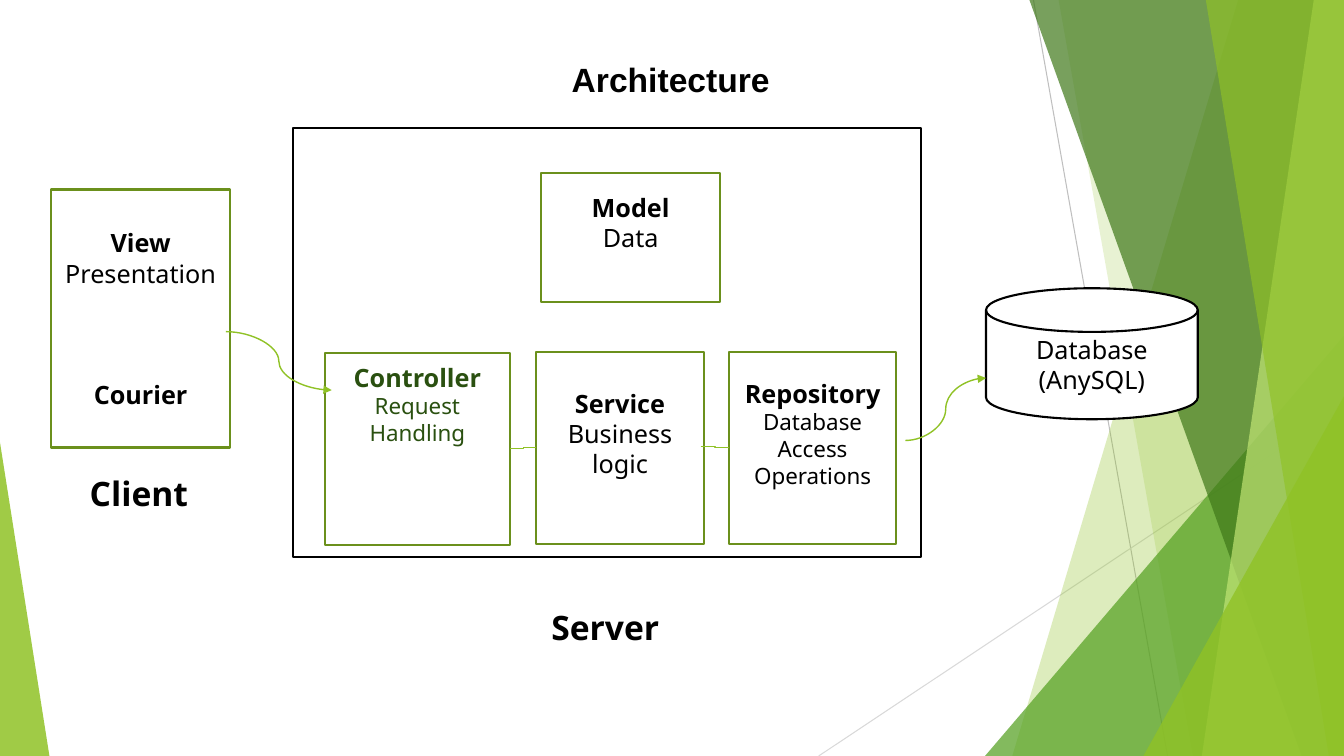
from pptx import Presentation
from pptx.dml.color import RGBColor
from pptx.enum.shapes import MSO_CONNECTOR, MSO_SHAPE
from pptx.enum.text import MSO_ANCHOR, MSO_AUTO_SIZE, PP_ALIGN
from pptx.oxml.ns import qn
from pptx.util import Inches, Pt
from lxml import etree

BLACK = RGBColor(0x00, 0x00, 0x00)
WHITE = RGBColor(0xFF, 0xFF, 0xFF)
GREEN = RGBColor(0x90, 0xC2, 0x26)
LEAF = RGBColor(0x54, 0xA0, 0x21)
FOREST = RGBColor(0x3F, 0x78, 0x19)
LIME = RGBColor(0xC0, 0xE4, 0x74)
OLIVE = RGBColor(0x6B, 0x90, 0x1C)
PINE = RGBColor(0x2A, 0x50, 0x10)
GRAY = RGBColor(0xBF, 0xBF, 0xBF)
PALE_GRAY = RGBColor(0xD9, 0xD9, 0xD9)

RECT = MSO_SHAPE.RECTANGLE
TRIANGLE = MSO_SHAPE.ISOSCELES_TRIANGLE
CAN = MSO_SHAPE.FLOWCHART_MAGNETIC_DISK
STRAIGHT, CURVE, ELBOW = MSO_CONNECTOR.STRAIGHT, MSO_CONNECTOR.CURVE, MSO_CONNECTOR.ELBOW
TOP, MIDDLE = MSO_ANCHOR.TOP, MSO_ANCHOR.MIDDLE
LEFT, CENTER = PP_ALIGN.LEFT, PP_ALIGN.CENTER
NO_FIT = MSO_AUTO_SIZE.NONE
WIDTH, HEIGHT = 13.33, 7.5


class Deck:
    font = "Noto Sans"
    heading_size = 24

    def __init__(self, prs):
        self.slide = prs.slides.add_slide(prs.slide_layouts[5])
        self.shapes = self.slide.shapes

    def paragraph(self, p, text, size, bold, color, align=CENTER, font=None):
        p.text = text
        p.alignment = align
        p.font.name = font or self.font
        p.font.size = Pt(size)
        p.font.bold = bold
        p.font.color.rgb = color

    def heading(self, s, text, x, y, w, font=None):
        s.left, s.top, s.width, s.height = map(Inches, (x, y, w, 0.5))
        tf = s.text_frame
        tf.word_wrap = True
        tf.auto_size = NO_FIT
        tf.vertical_anchor = TOP
        self.paragraph(tf.paragraphs[0], text, self.heading_size, True, BLACK, LEFT, font)

    def title(self, text, x, y, w):
        self.heading(self.shapes.title, text, x, y, w, "Arial")

    def label(self, text, x, y, w):
        self.heading(self.shapes.add_textbox(0, 0, 0, 0), text, x, y, w)

    def box(self, kind, x, y, w, h, line, lines=(), inset=None, color=BLACK):
        s = self.shapes.add_shape(kind, *map(Inches, (x, y, w, h)))
        s.shadow.inherit = False
        s.fill.solid()
        s.fill.fore_color.rgb = WHITE
        s.line.color.rgb = line
        s.line.width = Pt(1.5)
        tf = s.text_frame
        tf.word_wrap = True
        tf.vertical_anchor = MIDDLE if inset is None else TOP
        if inset is not None:
            tf.margin_top = Inches(inset)
        for i, (text, size, bold) in enumerate(lines):
            p = tf.add_paragraph() if i else tf.paragraphs[0]
            self.paragraph(p, text, size, bold, color)
        return s

    def tint(self, s, color, alpha):
        s.shadow.inherit = False
        s.fill.solid()
        s.fill.fore_color.rgb = color
        s.line.fill.background()
        rgb = s.fill._xPr.find(qn("a:solidFill"))[0]
        etree.SubElement(rgb, qn("a:alpha")).set("val", str(alpha * 1000))

    def blade(self, top_x, bottom_x, color, alpha):
        fb = self.shapes.build_freeform(Inches(top_x), 0)
        corners = [(WIDTH, 0), (WIDTH, HEIGHT), (bottom_x, HEIGHT)]
        fb.add_line_segments([(Inches(x), Inches(y)) for x, y in corners], close=True)
        self.tint(fb.convert_to_shape(), color, alpha)

    def corner(self, x, y, w, peak, color, alpha):
        s = self.shapes.add_shape(TRIANGLE, *map(Inches, (x, y, w, HEIGHT - y)))
        s.adjustments[0] = peak
        self.tint(s, color, alpha)

    def connector(self, kind, start, end, color=GREEN, width=1, arrow=False):
        s = self.shapes.add_connector(kind, *map(Inches, start + end))
        s.line.color.rgb = color
        s.line.width = Pt(width)
        if arrow:
            etree.SubElement(s.line._ln, qn("a:tailEnd")).set("type", "triangle")
        etree.SubElement(s._element.spPr, qn("a:effectLst"))


prs = Presentation()
prs.slide_width, prs.slide_height = Inches(WIDTH), Inches(HEIGHT)
deck = Deck(prs)

deck.connector(STRAIGHT, (10.25, 0), (11.58, HEIGHT), GRAY, 0.75)
deck.connector(STRAIGHT, (WIDTH, 4.03), (8.12, HEIGHT), PALE_GRAY, 0.75)
deck.blade(12.28, 10.04, GREEN, 30)
deck.blade(10.5, 11.83, GREEN, 20)
deck.corner(9.77, 3.33, 3.56, 1, LEAF, 72)
deck.blade(10.21, 12.91, FOREST, 70)
deck.blade(13.03, 11.92, LIME, 70)
deck.blade(11.96, 13.18, GREEN, 65)
deck.corner(11.34, 3.93, 1.99, 1, GREEN, 80)
deck.corner(0, 4.39, 0.49, 0, GREEN, 85)

deck.title("Architecture", 5.57, 0.53, 4.45)
deck.label("Server", 5.37, 5.97, 1.62)
deck.label("Client", 0.79, 4.64, 1.62)

deck.box(CAN, 9.78, 2.86, 2.1, 1.3, BLACK,
         [("Database", 18, False), ("(AnySQL)", 18, False)])
deck.box(RECT, 2.91, 1.27, 6.23, 4.26, BLACK)
deck.box(RECT, 5.37, 1.72, 1.77, 1.28, OLIVE,
         [("Model", 18, True), ("Data", 18, False)], 0.19)
deck.box(RECT, 3.22, 3.5, 1.84, 1.91, OLIVE,
         [("Controller", 18, True), ("Request Handling", 16, False)], 0.09, PINE)
deck.box(RECT, 5.32, 3.49, 1.66, 1.91, OLIVE,
         [("Service", 18, True), ("Business logic", 18, False)], 0.36)
deck.box(RECT, 7.23, 3.49, 1.66, 1.91, OLIVE,
         [("Repository", 18, True), ("Database Access Operations", 16, False)], 0.26)
view = deck.box(RECT, 0.51, 1.88, 1.77, 2.56, OLIVE,
                [("View", 18, True), ("Presentation", 18, False), ("Courier", 18, True)], 0.38)
view.text_frame.paragraphs[2].space_before = Pt(65)

deck.connector(CURVE, (2.24, 3.29), (3.29, 3.87), arrow=True)
deck.connector(CURVE, (8.98, 4.37), (9.78, 3.75), arrow=True)
deck.connector(ELBOW, (5.06, 4.45), (5.32, 4.44))
deck.connector(ELBOW, (6.95, 4.43), (7.23, 4.44))

prs.save("out.pptx")
